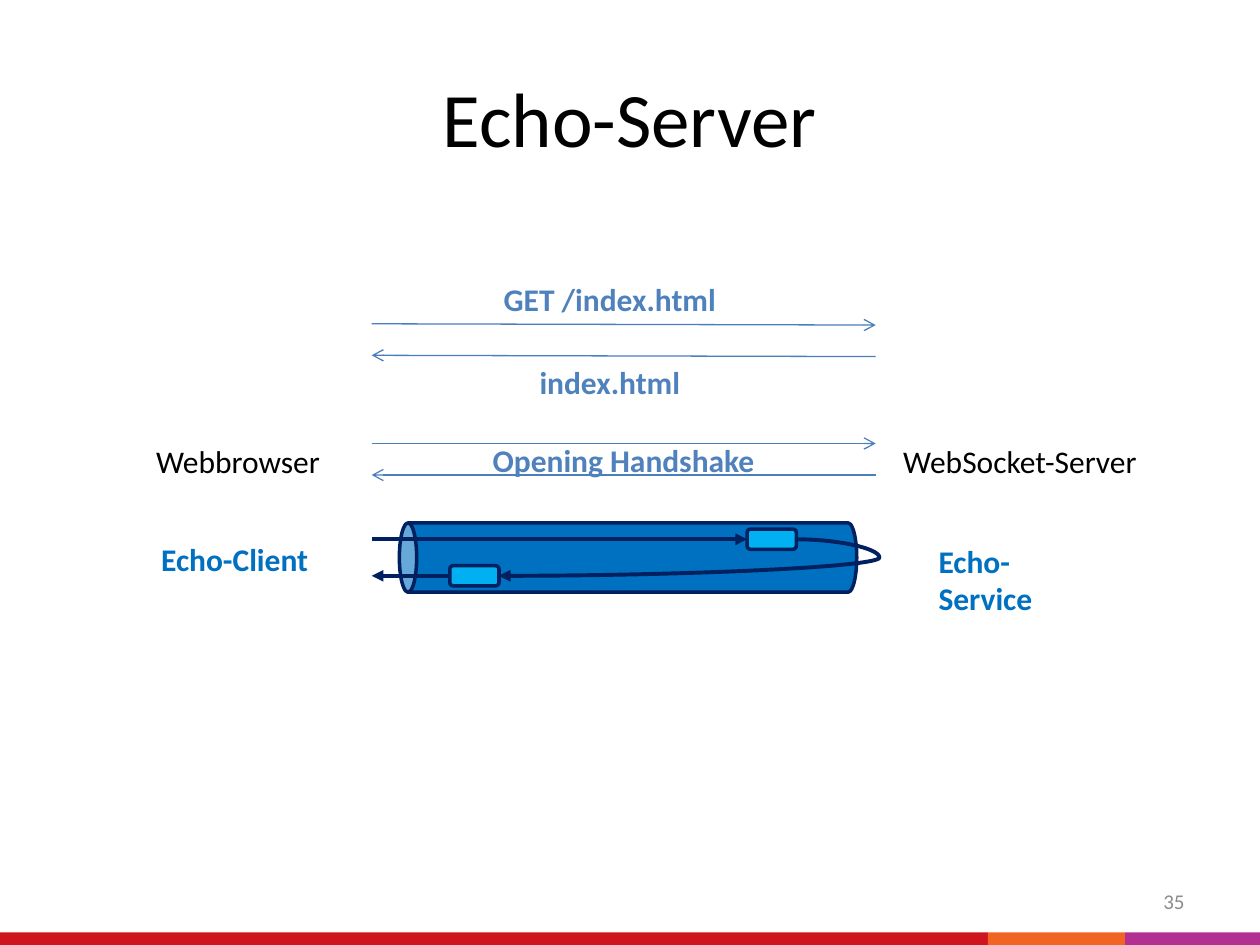
from dataclasses import dataclass

from lxml.etree import SubElement
from pptx import Presentation
from pptx.dml.color import RGBColor
from pptx.enum.shapes import MSO_CONNECTOR as Connector, MSO_SHAPE as Preset
from pptx.enum.text import MSO_ANCHOR as Anchor, PP_ALIGN as Align
from pptx.oxml.ns import qn
from pptx.util import Pt


@dataclass(frozen=True)
class Theme:
    font: str = "Calibri"
    title_size: float = 44
    body_size: float = 18
    number_size: float = 12
    black: str = "000000"
    gray: str = "8C8C8C"
    label: str = "4F81BD"
    arrow: str = "4B7EBC"
    echo: str = "0070C0"
    navy: str = "002060"
    packet: str = "00B0F0"
    footer: tuple = ("CE161E", "F16421", "B42F92")


@dataclass(frozen=True)
class Box:
    left: float
    top: float
    width: float
    height: float = 28.8

    def lengths(self):
        return Pt(self.left), Pt(self.top), Pt(self.width), Pt(self.height)


@dataclass(frozen=True)
class Label:
    text: str
    box: Box
    color: str
    bold: bool = False
    align: Align = Align.LEFT
    wrap: bool = True


@dataclass(frozen=True)
class Arrow:
    start: tuple
    end: tuple
    color: str
    width: float
    head: str


THEME = Theme()
CLIENT_X, SERVER_X = 212.4, 500.4
REQUEST_Y, REPLY_Y = 308.16, 329.04


def write_text(shape, text, *, size=THEME.body_size, color=THEME.black,
               bold=False, align=Align.LEFT, anchor=Anchor.TOP, wrap=True):
    frame = shape.text_frame
    frame.word_wrap = wrap
    frame.vertical_anchor = anchor
    paragraph = frame.paragraphs[0]
    paragraph.alignment = align
    run = paragraph.add_run()
    run.text = text
    run.font.name = THEME.font
    run.font.size = Pt(size)
    run.font.bold = bold
    run.font.color.rgb = RGBColor.from_string(color)


def add_label(slide, label: Label):
    shape = slide.shapes.add_textbox(*label.box.lengths())
    write_text(shape, label.text, color=label.color, bold=label.bold,
               align=label.align, wrap=label.wrap)


def add_block(slide, preset, box: Box, fill: str, outline: str = ""):
    shape = slide.shapes.add_shape(preset, *box.lengths())
    shape.shadow.inherit = False
    shape.fill.solid()
    shape.fill.fore_color.rgb = RGBColor.from_string(fill)
    if outline:
        shape.line.color.rgb = RGBColor.from_string(outline)
        shape.line.width = Pt(2)
    else:
        shape.line.fill.background()
    return shape


def add_arrow(slide, arrow: Arrow, kind=Connector.STRAIGHT):
    ends = [Pt(value) for value in arrow.start + arrow.end]
    connector = slide.shapes.add_connector(kind, *ends)
    connector.line.color.rgb = RGBColor.from_string(arrow.color)
    connector.line.width = Pt(arrow.width)
    properties = connector._element.spPr
    SubElement(properties.find(qn("a:ln")), qn("a:tailEnd"), type=arrow.head)
    SubElement(properties, qn("a:effectLst"))
    return connector


def add_message(slide, start, end):
    add_arrow(slide, Arrow(start, end, THEME.arrow, 0.75, "arrow"))


def add_echo(slide, start, end, kind=Connector.STRAIGHT):
    return add_arrow(slide, Arrow(start, end, THEME.navy, 2.25, "triangle"), kind)


def add_packet(slide, left, middle):
    box = Box(left, middle - 5.76, 28.08, 11.52)
    return add_block(slide, Preset.ROUNDED_RECTANGLE, box, THEME.packet, THEME.navy)


def main():
    presentation = Presentation()
    presentation.slide_width, presentation.slide_height = Pt(720), Pt(540)
    slide = presentation.slides.add_slide(presentation.slide_layouts[5])

    # Title
    title = slide.shapes.title
    title.left, title.top, title.width, title.height = Box(36, 21.6, 648, 90).lengths()
    write_text(title, "Echo-Server", size=THEME.title_size,
               align=Align.CENTER, anchor=Anchor.MIDDLE)

    # Footer stripe
    edges = (0, 564.5, 643, 720)
    for left, right, color in zip(edges, edges[1:], THEME.footer):
        add_block(slide, Preset.RECTANGLE, Box(left, 532.8, right - left, 7.2), color)

    # Page request and opening handshake
    for request, reply, slant in ((185.04, 203.04, 0.72), (253.44, 271.44, 0)):
        add_message(slide, (CLIENT_X, request), (SERVER_X, request + slant))
        add_message(slide, (SERVER_X, reply + slant), (CLIENT_X, reply))

    # Open channel
    channel = add_block(slide, Preset.CAN, Box(339.12, 187.92, 39.6, 261.36),
                        THEME.echo, THEME.navy)
    channel.rotation = 270

    # Echo messages
    reply_packet = add_packet(slide, 257.04, REPLY_Y)
    request_packet = add_packet(slide, 426.96, REQUEST_Y)
    outgoing = add_echo(slide, (CLIENT_X, REQUEST_Y), (426.96, REQUEST_Y))
    outgoing.end_connect(request_packet, 1)
    returning = add_echo(slide, (257.04, REPLY_Y), (CLIENT_X, REPLY_Y))
    returning.begin_connect(reply_packet, 1)
    turn = add_echo(slide, (455.04, REQUEST_Y), (285.12, REPLY_Y), Connector.CURVE)
    turn.begin_connect(request_packet, 3)
    turn.end_connect(reply_packet, 3)
    adjustments = turn._element.spPr.find(qn("a:prstGeom")).get_or_add_avLst()
    SubElement(adjustments, qn("a:gd"), name="adj1", fmla="val -28000")

    # Labels
    message = dict(color=THEME.label, bold=True, align=Align.CENTER)
    party = dict(color=THEME.black, wrap=False)
    echo = dict(color=THEME.echo, bold=True)
    labels = (
        Label("GET /index.html", Box(196.56, 156.24, 303.84), **message),
        Label("index.html", Box(196.56, 203.76, 303.84), **message),
        Label("Opening Handshake", Box(CLIENT_X, 248.4, 288), **message),
        Label("Webbrowser", Box(82.08, 249.12, 109.44), **party),
        Label("WebSocket-Server", Box(509.04, 249.12, 149.76), **party),
        Label("Echo-Client", Box(84.96, 305.28, 99.36), wrap=False, **echo),
        Label("Echo-Service", Box(529.2, 306, 104), **echo),
    )
    for label in labels:
        add_label(slide, label)

    # Page number
    number = slide.shapes.add_textbox(*Box(516.24, 500.4, 167.76).lengths())
    write_text(number, "35", size=THEME.number_size, color=THEME.gray,
               align=Align.RIGHT, anchor=Anchor.MIDDLE)

    presentation.save("out.pptx")


if __name__ == "__main__":
    main()
